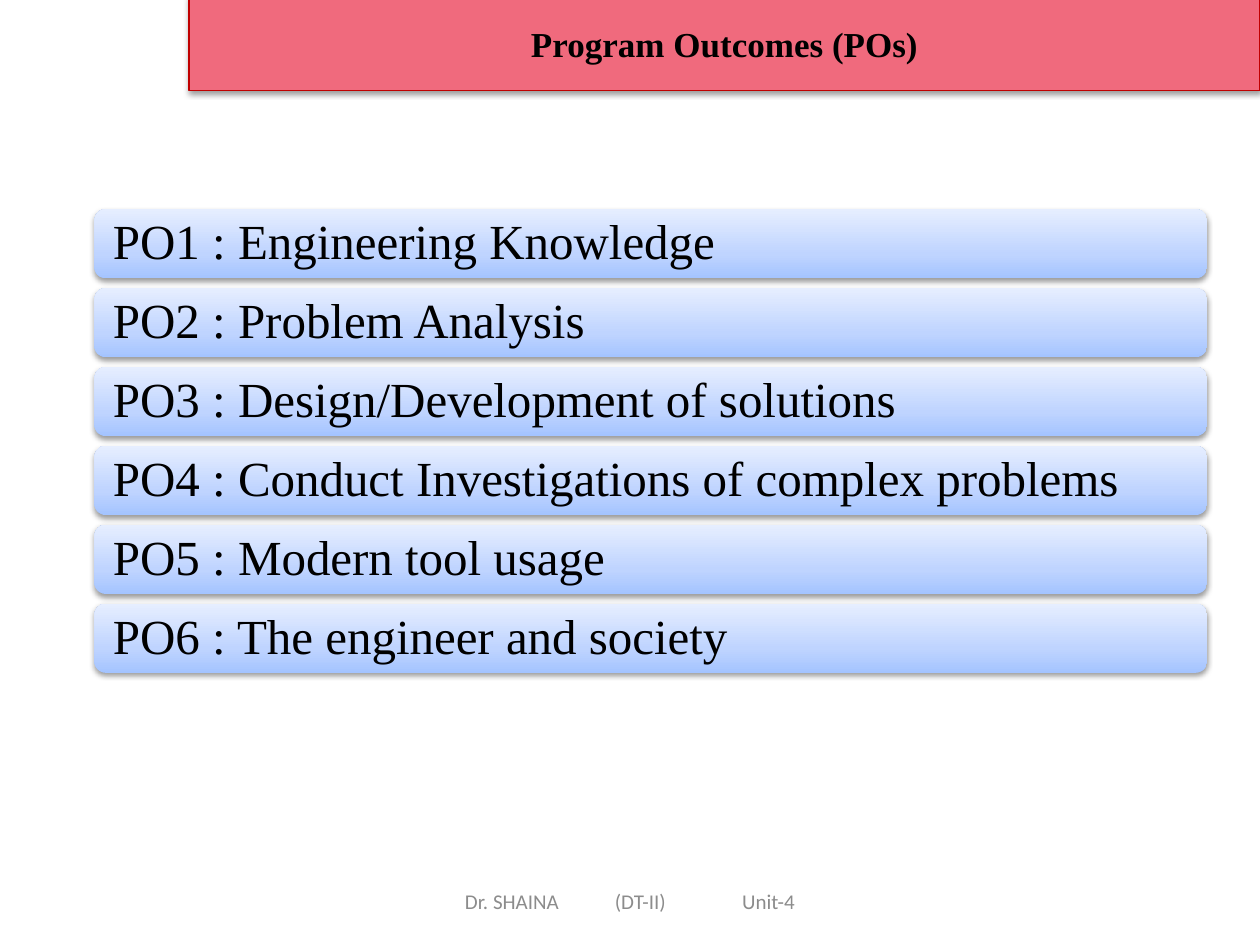
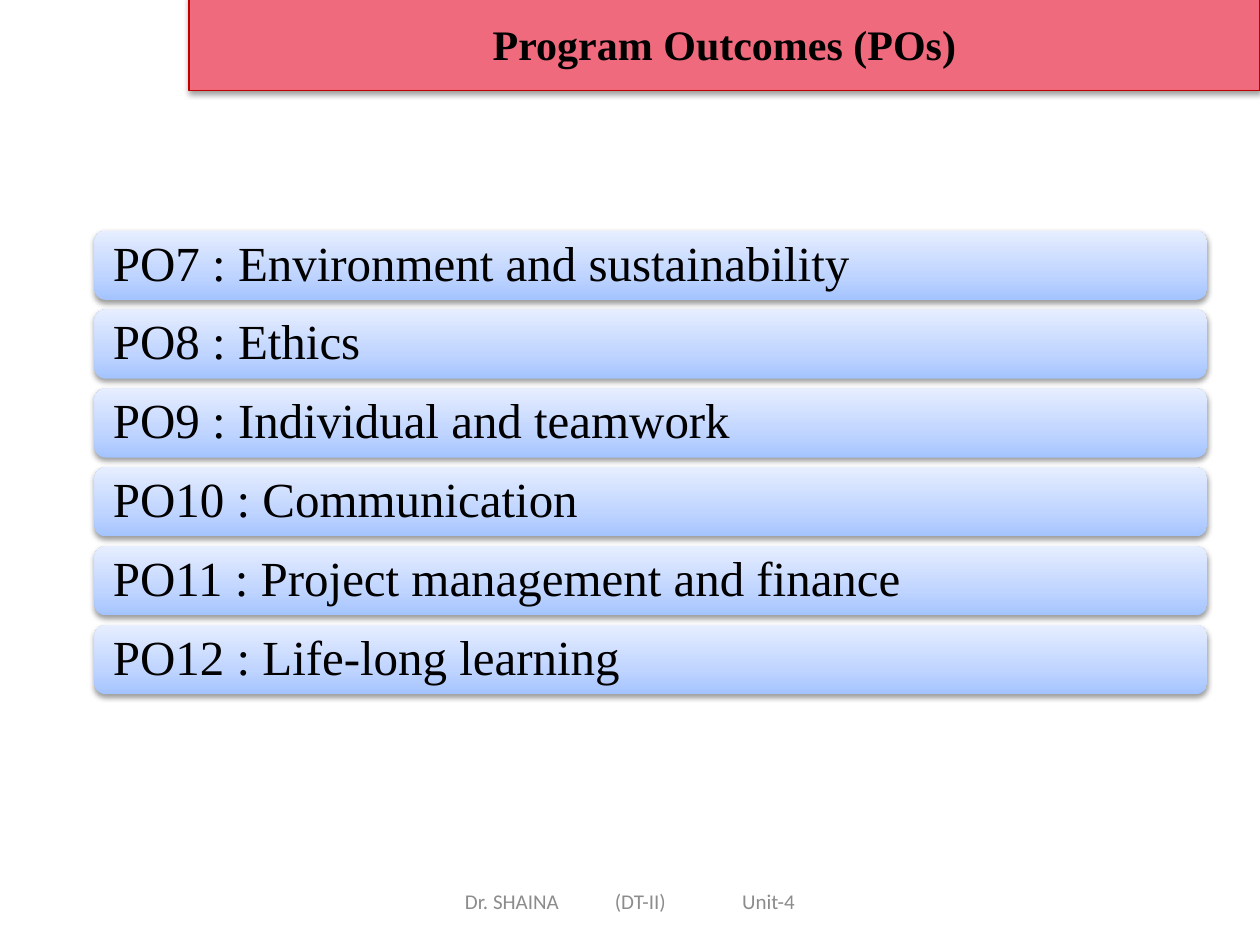
from dataclasses import dataclass

from lxml.etree import SubElement
from pptx import Presentation
from pptx.dml.color import RGBColor
from pptx.enum.shapes import MSO_SHAPE
from pptx.enum.text import MSO_ANCHOR, PP_ALIGN
from pptx.oxml.ns import qn
from pptx.util import Inches, Pt


@dataclass(frozen=True)
class Theme:
    ink: str = "000000"
    muted: str = "8C8C8C"
    band: str = "F06A7D"
    band_line: str = "C00000"
    bar_stops: tuple = ((0, "A4C4FF"), (35, "BFD4FF"), (100, "E6EEFF"))
    serif: str = "Times New Roman"
    sans: str = "Calibri"
    bar_size: int = 28
    footer_size: int = 12


@dataclass(frozen=True)
class Box:
    left: float
    top: float
    width: float
    height: float

    def emu(self) -> tuple:
        return tuple(Inches(v) for v in (self.left, self.top, self.width, self.height))


@dataclass(frozen=True)
class OutcomeSlide:
    title_size: int
    first_number: int
    top: float
    outcomes: tuple


T = Theme()
WIDTH, HEIGHT = 10, 7.5

# Shared layout, in inches
BAND = Box(0.15 * WIDTH, -0.03, 0.85 * WIDTH, 0.1 * HEIGHT)
FOOTER = Box(3.42, 6.95, 3.17, 0.4)
BAR_LEFT, BAR_WIDTH, BAR_HEIGHT = 0.75, 8.83, 0.55
ROWS_SPAN = 3.13  # from the top of the first bar to the top of the last
TITLE = "Program Outcomes (POs)"
FOOTER_PARTS = ("Dr. SHAINA", "(DT-II)", "Unit-4")
FOOTER_INSET, FOOTER_TABS = 0.27, (1.19, 2.2)

SLIDES = (
    OutcomeSlide(20, 1, 1.66, (
        "Engineering Knowledge",
        "Problem Analysis",
        "Design/Development of solutions",
        "Conduct Investigations of complex problems",
        "Modern tool usage",
        "The engineer and society",
    )),
    OutcomeSlide(24, 7, 1.83, (
        "Environment and sustainability",
        "Ethics",
        "Individual and teamwork",
        "Communication",
        "Project management and finance",
        "Life-long learning",
    )),
)


def set_all(target, values: dict) -> None:
    for name, value in values.items():
        setattr(target, name, value)


def write(sp, text: str, font: dict, color: str, para: dict, frame: dict) -> None:
    tf = sp.text_frame
    set_all(tf, {"word_wrap": True, "vertical_anchor": MSO_ANCHOR.MIDDLE, **frame})
    p = tf.paragraphs[0]
    set_all(p, para)
    r = p.add_run()
    r.text = text
    set_all(r.font, font)
    r.font.color.rgb = RGBColor.from_string(color)


def add_shadow(sp) -> None:
    sp.shadow.inherit = False
    effects = sp._element.spPr.find(qn("a:effectLst"))
    outer = SubElement(effects, qn("a:outerShdw"), blurRad=str(Pt(3.1)),
                       dist=str(Pt(1.6)), dir="5400000", rotWithShape="0")
    clr = SubElement(outer, qn("a:srgbClr"), val=T.ink)
    SubElement(clr, qn("a:alpha"), val="38000")


def fill_gradient(sp) -> None:
    sp.fill.gradient()
    sp.fill.gradient_angle = 90
    stops = sp._element.spPr.find(".//" + qn("a:gsLst"))
    for stop in list(stops):
        stops.remove(stop)
    for percent, color in T.bar_stops:
        gs = SubElement(stops, qn("a:gs"), pos=str(percent * 1000))
        SubElement(gs, qn("a:srgbClr"), val=color)


def add_bar(s, box: Box, text: str) -> None:
    sp = s.shapes.add_shape(MSO_SHAPE.ROUNDED_RECTANGLE, *box.emu())
    fill_gradient(sp)
    sp.line.fill.background()
    add_shadow(sp)
    sides = ("left", "top", "right", "bottom")
    write(sp, text, {"name": T.serif, "size": Pt(T.bar_size)}, T.ink,
          {"alignment": PP_ALIGN.LEFT, "line_spacing": 0.9},
          {f"margin_{side}": Inches(0.12) for side in sides})


def add_band(s, size: int) -> None:
    sp = s.shapes.add_shape(MSO_SHAPE.RECTANGLE, *BAND.emu())
    sp.fill.solid()
    sp.fill.fore_color.rgb = RGBColor.from_string(T.band)
    sp.line.color.rgb = RGBColor.from_string(T.band_line)
    sp.line.width = Pt(0.75)
    add_shadow(sp)
    write(sp, TITLE, {"name": T.serif, "size": Pt(size), "bold": True}, T.ink,
          {"alignment": PP_ALIGN.CENTER}, {})


def add_footer(s) -> None:
    sp = s.shapes.add_textbox(*FOOTER.emu())
    pPr = sp.text_frame.paragraphs[0]._p.get_or_add_pPr()
    tabs = SubElement(pPr, qn("a:tabLst"))
    for pos in FOOTER_TABS:
        SubElement(tabs, qn("a:tab"), pos=str(Inches(pos)), algn="l")
    write(sp, "\t".join(FOOTER_PARTS), {"name": T.sans, "size": Pt(T.footer_size)},
          T.muted, {"alignment": PP_ALIGN.LEFT}, {"margin_left": Inches(FOOTER_INSET)})


def build_slide(prs, content: OutcomeSlide) -> None:
    s = prs.slides.add_slide(prs.slide_layouts[6])
    # Outcome bars, evenly spaced
    pitch = ROWS_SPAN / (len(content.outcomes) - 1)
    for row, outcome in enumerate(content.outcomes):
        box = Box(BAR_LEFT, content.top + row * pitch, BAR_WIDTH, BAR_HEIGHT)
        add_bar(s, box, f"PO{content.first_number + row} : {outcome}")
    # Title band and footer
    add_band(s, content.title_size)
    add_footer(s)


def main() -> None:
    prs = Presentation()
    set_all(prs, {"slide_width": Inches(WIDTH), "slide_height": Inches(HEIGHT)})
    for content in SLIDES:
        build_slide(prs, content)
    prs.save("out.pptx")


if __name__ == "__main__":
    main()
